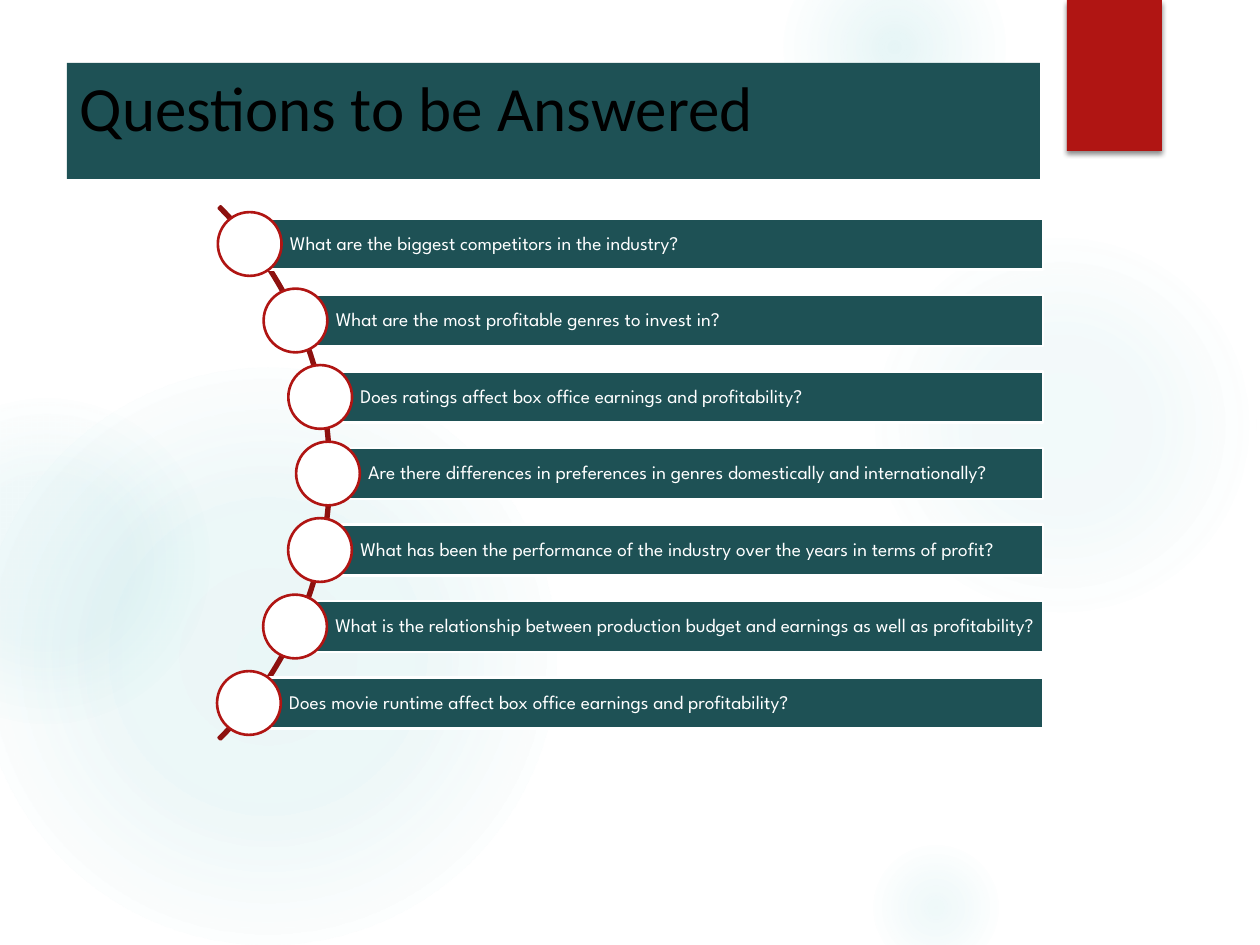
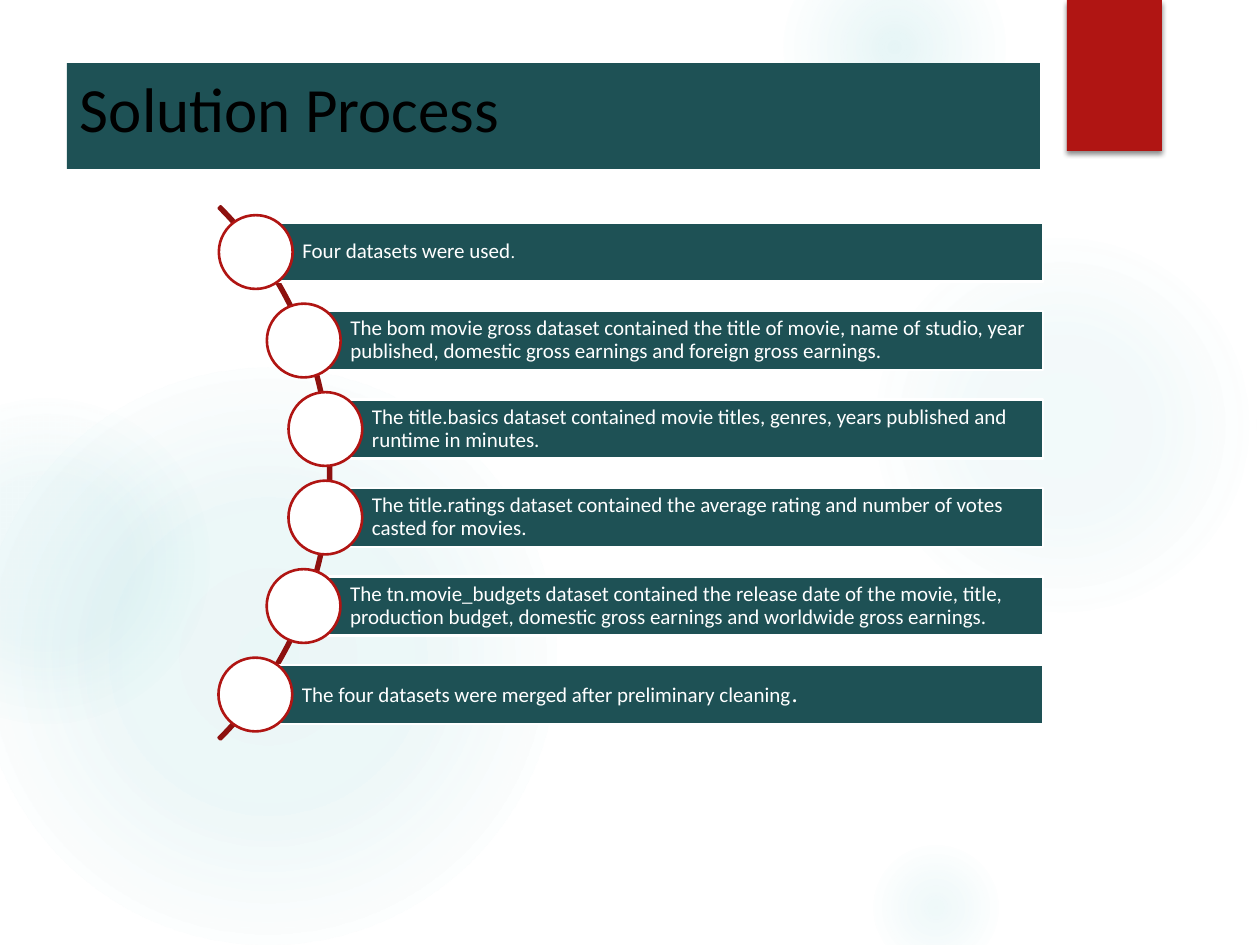
from dataclasses import dataclass
from math import sqrt

from lxml.etree import SubElement
from pptx import Presentation
from pptx.dml.color import RGBColor
from pptx.enum.shapes import MSO_SHAPE
from pptx.enum.text import MSO_ANCHOR, PP_ALIGN
from pptx.oxml import parse_xml
from pptx.oxml.ns import nsdecls, qn
from pptx.util import Emu, Pt

# A row is its text and, if its full stop is set apart, the size of that stop.
PAGES = [
    {
        "title": "Questions to be Answered",
        "title_height": 116,
        "bar_height": 51,
        "first_middle": 244,
        "font": ("League Spartan", 11),
        "rows": [
            ("What are the biggest competitors in the industry?", None),
            ("What are the most profitable genres to invest in?", None),
            ("Does ratings affect box office earnings and profitability?", None),
            ("Are there differences in preferences in genres domestically and internationally?", None),
            ("What has been the performance of the industry over the years in terms of profit?", None),
            ("What is the relationship between production budget and earnings as well as profitability?", None),
            ("Does movie runtime affect box office earnings and profitability?", None),
        ],
    },
    {
        "title": "Solution Process",
        "title_height": 106,
        "bar_height": 59,
        "first_middle": 252,
        "font": ("Calibri", 12),
        "rows": [
            ("Four datasets were used", 10),
            ("The bom movie gross dataset contained the title of movie, name of studio, year "
             "published, domestic gross earnings and foreign gross earnings.", None),
            ("The title.basics dataset contained movie titles, genres, years published and "
             "runtime in minutes.", None),
            ("The title.ratings dataset contained the average rating and number of votes "
             "casted for movies.", None),
            ("The tn.movie_budgets dataset contained the release date of the movie, title, "
             "production budget, domestic gross earnings and worldwide gross earnings.", None),
            ("The four datasets were merged after preliminary cleaning", 14),
        ],
    },
]

# Left, top, diameter, then (position %, opacity %) from the centre outwards.
GLOWS = [
    (868, 231, 388, [(0, 7), (36, 6), (69, 0)]),
    (784, -63, 221, [(0, 14), (36, 7), (73, 0)]),
    (868, 840, 136, [(0, 9), (36, 5), (66, 0)]),
    (-21, 368, 577, [(0, 11), (36, 10), (75, 0)]),
    (-116, 399, 325, [(0, 8), (36, 8), (72, 0)]),
]


@dataclass(frozen=True)
class Theme:
    teal: str = "1E5155"
    red: str = "B01513"
    dark_red: str = "8D110F"
    glow: str = "50B9C1"
    white: str = "FFFFFF"
    black: str = "000000"
    title_font: str = "Calibri"
    stop_font: str = "League Spartan"
    title_size: int = 36
    line_width: float = 1.5


THEME = Theme()
SLIDE_SIZE = (1260, 945)
TITLE_BAND = (67, 63, 973)
RED_TAB = (1067, 0, 95, 151)
ARC_CENTRE = (-46, 473)
ARC_RADIUS = 377
CIRCLE_TRACK = 374
BARS_RIGHT = 1043


def px(value):
    return Emu(round(value * 914400 / 126))


def add_figure(page, kind, left, top, width, height, fill=None, line=None):
    figure = page.shapes.add_shape(kind, px(left), px(top), px(width), px(height))
    figure.shadow.inherit = False
    if fill:
        figure.fill.solid()
        figure.fill.fore_color.rgb = RGBColor.from_string(fill)
    else:
        figure.fill.background()
    if line:
        figure.line.color.rgb = RGBColor.from_string(line)
        figure.line.width = Pt(THEME.line_width)
    else:
        figure.line.fill.background()
    return figure


def write(box, text, font, size, color, insets, anchor):
    frame = box.text_frame
    frame.word_wrap = True
    frame.vertical_anchor = anchor
    frame.margin_left, frame.margin_top, frame.margin_right, frame.margin_bottom = map(px, insets)
    para = frame.paragraphs[0]
    para.alignment = PP_ALIGN.LEFT
    para.font.name = font
    para.font.size = Pt(size)
    para.font.color.rgb = RGBColor.from_string(color)
    para.add_run().text = text
    return para


def add_glow(page, left, top, diameter, stops):
    glow = add_figure(page, MSO_SHAPE.OVAL, left, top, diameter, diameter)
    stop_xml = "".join(
        f'<a:gs pos="{position * 1000}"><a:srgbClr val="{THEME.glow}">'
        f'<a:alpha val="{opacity * 1000}"/></a:srgbClr></a:gs>'
        for position, opacity in stops
    )
    gradient = parse_xml(
        f'<a:gradFill {nsdecls("a")}><a:gsLst>{stop_xml}</a:gsLst><a:path path="circle">'
        '<a:fillToRect l="50000" t="50000" r="50000" b="50000"/></a:path></a:gradFill>'
    )
    properties = glow.element.spPr
    properties.replace(properties.find(qn("a:noFill")), gradient)


def add_red_tab(page):
    tab = add_figure(page, MSO_SHAPE.RECTANGLE, *RED_TAB, fill=THEME.red)
    effects = tab.element.spPr.find(qn("a:effectLst"))
    shadow = SubElement(effects, qn("a:outerShdw"), blurRad=str(Pt(3)), dist=str(Pt(2)),
                        dir="5400000", rotWithShape="0")
    color = SubElement(shadow, qn("a:srgbClr"), val=THEME.black)
    SubElement(color, qn("a:alpha"), val="45000")


def add_title(page, text, height):
    band = add_figure(page, MSO_SHAPE.RECTANGLE, *TITLE_BAND, height, fill=THEME.teal)
    write(band, text, THEME.title_font, THEME.title_size, THEME.black,
          (13, 6, 13, 6), MSO_ANCHOR.TOP)


def add_arc(page):
    x, y = ARC_CENTRE
    arc = add_figure(page, MSO_SHAPE.BLOCK_ARC, x - ARC_RADIUS, y - ARC_RADIUS,
                     2 * ARC_RADIUS, 2 * ARC_RADIUS, line=THEME.dark_red)
    for index, value in enumerate((189, 27, 0.0036)):
        arc.adjustments[index] = value


def add_rows(page, rows, bar_height, first_middle, font):
    """Lay out bars at equal steps, each starting at a circle centred on the arc."""
    step, diameter, indent = 1.5 * bar_height, 1.25 * bar_height, 0.79 * bar_height
    for index, (text, stop_size) in enumerate(rows):
        y = first_middle + index * step
        x = ARC_CENTRE[0] + sqrt(CIRCLE_TRACK ** 2 - (y - ARC_CENTRE[1]) ** 2)
        bar = add_figure(page, MSO_SHAPE.RECTANGLE, x, y - bar_height / 2,
                         BARS_RIGHT - x, bar_height, THEME.teal, THEME.white)
        para = write(bar, text, *font, THEME.white, (indent, 4, 4, 4), MSO_ANCHOR.MIDDLE)
        para.line_spacing = 0.9
        if stop_size:
            span = para.add_run()
            span.text = "."
            span.font.name = THEME.stop_font
            span.font.size = Pt(stop_size)
        add_figure(page, MSO_SHAPE.OVAL, x - diameter / 2, y - diameter / 2,
                   diameter, diameter, THEME.white, THEME.red)


def main():
    deck = Presentation()
    deck.slide_width, deck.slide_height = map(px, SLIDE_SIZE)
    for content in PAGES:
        page = deck.slides.add_slide(deck.slide_layouts[6])
        for glow in GLOWS:
            add_glow(page, *glow)
        add_red_tab(page)
        add_title(page, content["title"], content["title_height"])
        add_arc(page)
        add_rows(page, content["rows"], content["bar_height"],
                 content["first_middle"], content["font"])
    deck.save("out.pptx")


if __name__ == "__main__":
    main()
